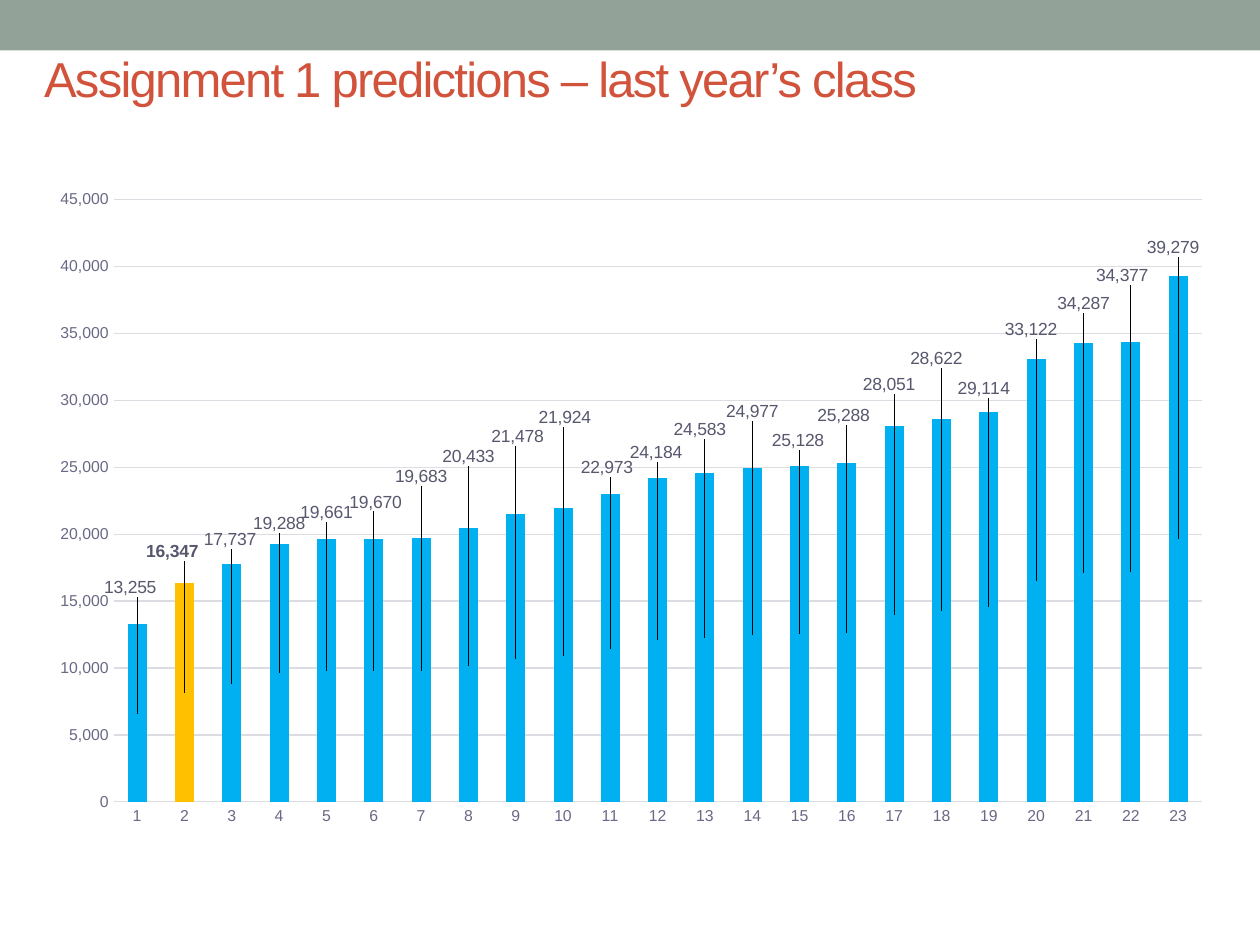
from lxml.etree import SubElement
from pptx import Presentation
from pptx.chart.data import CategoryChartData
from pptx.dml.color import RGBColor
from pptx.enum.chart import XL_CHART_TYPE, XL_TICK_MARK
from pptx.enum.shapes import MSO_SHAPE
from pptx.enum.text import MSO_ANCHOR, PP_ALIGN
from pptx.oxml import parse_xml
from pptx.oxml.ns import nsdecls, qn
from pptx.util import Pt

COLORS = {
    "band": "93A299", "title": "D2533C", "bar": "00B0F0", "highlight": "FFC000",
    "grid": "DCDCE3", "axis": "696986", "label": "57576E", "text": "292934",
}
FORMATS = {
    "title": {"name": "Arial", "size": Pt(28), "bold": False},
    "text": {"name": "Arial", "size": Pt(10)},
    "axis": {"name": "Arial", "size": Pt(9), "bold": False},
    "label": {"name": "Arial", "size": Pt(10), "bold": False},
}
PREDICTIONS = [
    13255, 16347, 17737, 19288, 19661, 19670, 19683, 20433, 21478, 21924, 22973, 24184,
    24583, 24977, 25128, 25288, 28051, 28622, 29114, 33122, 34287, 34377, 39279,
]
LABEL_HEIGHTS = [
    16000, 18700, 19600, 20800, 21600, 22400, 24300, 25800, 27300, 28700, 25000, 26100,
    27800, 29200, 27000, 28900, 31200, 33100, 30900, 35300, 37200, 39300, 41400,
]
LABEL_SHIFTS = [-4, -7, -1, 0, 0, 1, 0, 0, 1, 1, -2, -1,
                -3, 0, -1, -2, -3, -3, -3, -3, 0, -5, -3]
HIGHLIGHT = 1
AXIS_MAXIMUM = 45000
CHART_WIDTH = 676
PLOT = {"x": 0.063, "y": 0.089, "w": 0.92, "h": 0.843}


def format_font(font, role):
    for attribute, value in FORMATS[role].items():
        setattr(font, attribute, value)
    font.color.rgb = RGBColor.from_string(COLORS[role])


def manual_layout(values, inner=False):
    layout = parse_xml(f"<c:layout {nsdecls('c')}><c:manualLayout/></c:layout>")
    settings = {"layoutTarget": "inner", "xMode": "edge", "yMode": "edge"} if inner else {}
    for tag, value in {**settings, **values}.items():
        SubElement(layout[0], qn(f"c:{tag}")).set("val", str(value))
    return layout


presentation = Presentation()
presentation.slide_width, presentation.slide_height = Pt(720), Pt(540)
slide = presentation.slides.add_slide(presentation.slide_layouts[5])

band = slide.shapes.add_shape(MSO_SHAPE.RECTANGLE, 0, 0, Pt(720), Pt(28.8))
band.shadow.inherit = False
band.fill.solid()
band.fill.fore_color.rgb = RGBColor.from_string(COLORS["band"])
band.line.fill.background()

title = slide.shapes.title
band._element.addnext(title._element)
title.left, title.top, title.width, title.height = Pt(18), Pt(5.8), Pt(648), Pt(77.8)
title.text_frame.vertical_anchor = MSO_ANCHOR.MIDDLE
paragraph = title.text_frame.paragraphs[0]
paragraph.alignment = PP_ALIGN.LEFT
run = paragraph.add_run()
run.text = "Assignment 1 predictions – last year’s class"
format_font(run.font, "title")
run.font._element.set("spc", "-100")

chart_data = CategoryChartData(number_format="#,##0")
chart_data.categories = [str(number) for number in range(1, len(PREDICTIONS) + 1)]
chart_data.add_series("Series 1", PREDICTIONS)
chart = slide.shapes.add_chart(
    XL_CHART_TYPE.COLUMN_STACKED, Pt(22.3), Pt(77.8), Pt(CHART_WIDTH), Pt(408.2), chart_data
).chart
chart.has_legend = False
chart.has_title = False
format_font(chart.font, "text")
plot_area = chart._chartSpace.chart.plotArea
for layout in plot_area.findall(qn("c:layout")):
    plot_area.remove(layout)
plot_area.insert(0, manual_layout(PLOT, inner=True))

value_axis, category_axis = chart.value_axis, chart.category_axis
for axis in (value_axis, category_axis):
    axis.major_tick_mark = XL_TICK_MARK.NONE
    axis.minor_tick_mark = XL_TICK_MARK.NONE
    format_font(axis.tick_labels.font, "axis")
value_axis.minimum_scale, value_axis.maximum_scale = 0, AXIS_MAXIMUM
value_axis.major_unit = 5000
value_axis.has_major_gridlines = True
value_axis.tick_labels.number_format = "#,##0"
value_axis.tick_labels.number_format_is_linked = False
value_axis.format.line.fill.background()
for line in (value_axis.major_gridlines.format.line, category_axis.format.line):
    line.color.rgb = RGBColor.from_string(COLORS["grid"])
    line.width = Pt(0.75)

plot = chart.plots[0]
plot.vary_by_categories = False
plot.gap_width, plot.overlap = 150, 100
series = plot.series[0]
series.format.fill.solid()
series.format.fill.fore_color.rgb = RGBColor.from_string(COLORS["bar"])
highlight_fill = series.points[HIGHLIGHT].format.fill
highlight_fill.solid()
highlight_fill.fore_color.rgb = RGBColor.from_string(COLORS["highlight"])

labels = series.data_labels
labels.show_value = True
labels.number_format = "#,##0"
labels.number_format_is_linked = False
format_font(labels.font, "label")
for index in range(len(PREDICTIONS)):
    font = series.points[index].data_label.font
    format_font(font, "label")
    font.bold = index == HIGHLIGHT

label_elements = series._element.findall(f"{qn('c:dLbls')}/{qn('c:dLbl')}")
for element, value, height, shift in zip(
    label_elements, PREDICTIONS, LABEL_HEIGHTS, LABEL_SHIFTS
):
    rise = (height - value / 2) / AXIS_MAXIMUM * PLOT["h"]
    offset = {"x": shift / CHART_WIDTH, "y": -rise}
    element.find(qn("c:idx")).addnext(manual_layout(offset))

presentation.save("out.pptx")
